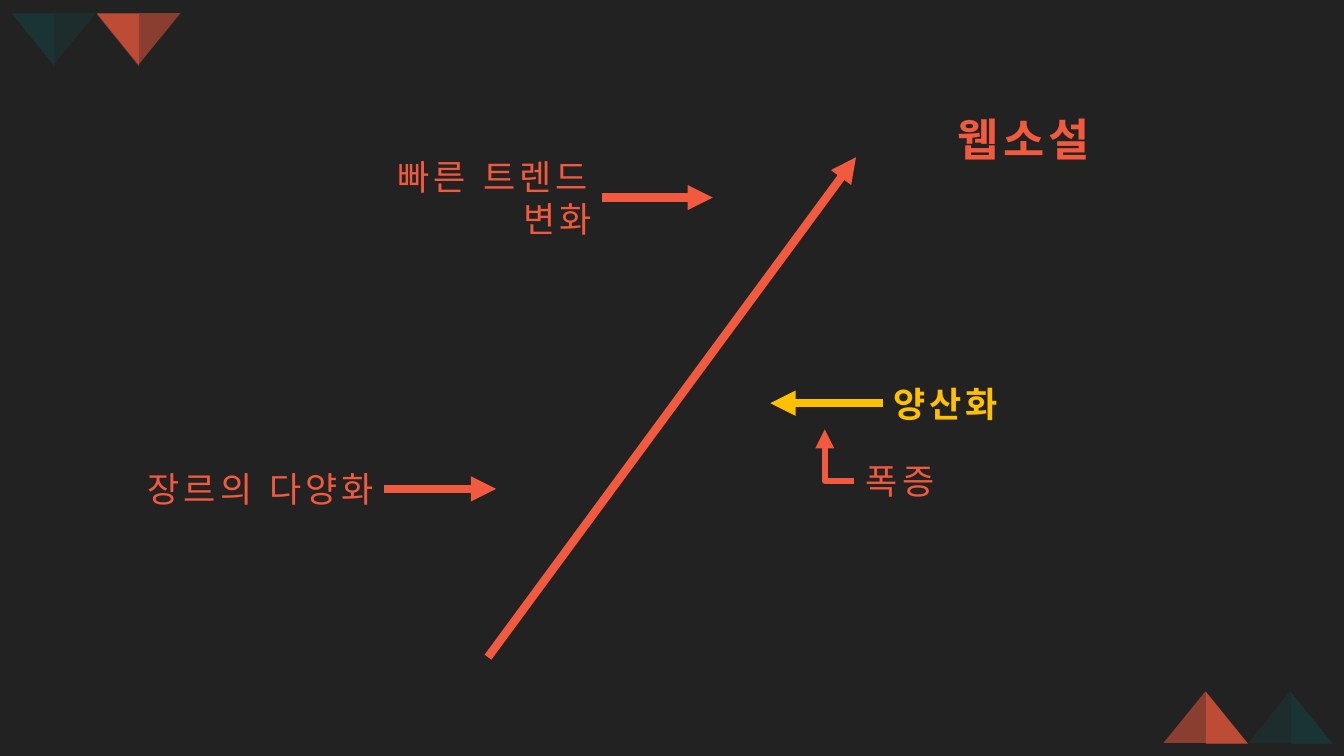
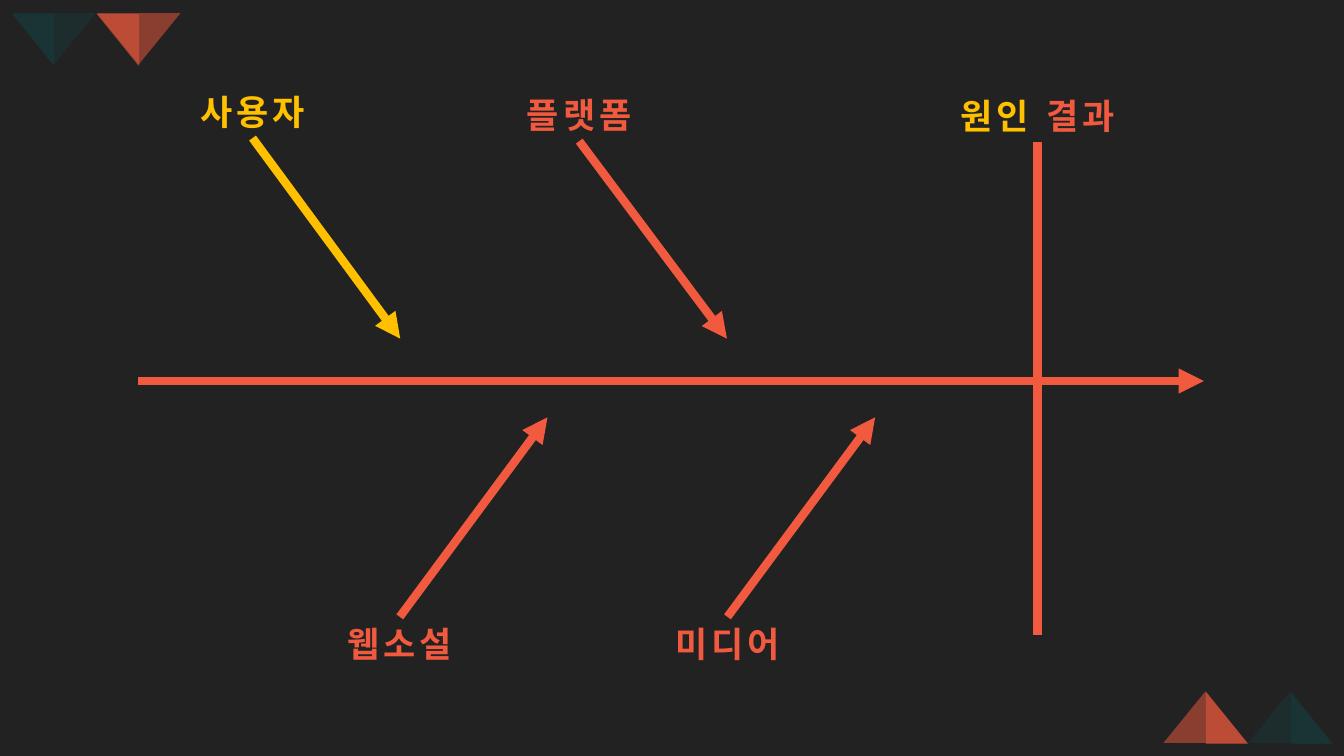
from lxml.etree import SubElement
from pptx import Presentation
from pptx.dml.color import RGBColor
from pptx.enum.shapes import MSO_CONNECTOR, MSO_SHAPE
from pptx.enum.text import MSO_ANCHOR, MSO_AUTO_SIZE, PP_ALIGN
from pptx.oxml.ns import qn
from pptx.util import Inches, Pt

COLORS = {"dark": "222222", "coral": "F15A3E", "teal": "193739", "gold": "FFC000"}
FONT = "Roboto"
LEFT, CENTER, RIGHT = PP_ALIGN.LEFT, PP_ALIGN.CENTER, PP_ALIGN.RIGHT
TOP_SIDE, LEFT_SIDE, BOTTOM_SIDE, RIGHT_SIDE = range(4)


def add_label(page, area, spans, align, size=25, bold=True):
    box = page.shapes.add_textbox(*map(Inches, area))
    frame_format = {
        "word_wrap": True,
        "auto_size": MSO_AUTO_SIZE.SHAPE_TO_FIT_TEXT,
        "vertical_anchor": MSO_ANCHOR.MIDDLE,
    }
    for name, value in frame_format.items():
        setattr(box.text_frame, name, value)
    para = box.text_frame.paragraphs[0]
    para.alignment = align
    for text, color in spans:
        span = para.add_run()
        span.text = text
        for name, value in {"name": FONT, "size": Pt(size), "bold": bold}.items():
            setattr(span.font, name, value)
        span.font.color.rgb = RGBColor.from_string(COLORS[color])
        properties = span._r.get_or_add_rPr()
        properties.set("spc", "300")
        SubElement(properties, qn("a:ea"), typeface=FONT)
    return box


def add_line(page, points, color="coral", width=6, arrow="tailEnd", kind=MSO_CONNECTOR.STRAIGHT):
    line = page.shapes.add_connector(kind, *map(Inches, points))
    line.line.width = Pt(width)
    line.line.color.rgb = RGBColor.from_string(COLORS[color])
    if arrow:
        SubElement(line.line._get_or_add_ln(), qn(f"a:{arrow}"), type="triangle")
    SubElement(line._element.spPr, qn("a:effectLst"))
    return line


deck = Presentation()
deck.slide_width, deck.slide_height = Inches(13.33), Inches(7.5)
background = deck.slide_master.background.fill
background.solid()
background.fore_color.rgb = RGBColor.from_string(COLORS["dark"])
growth_page, causes_page = [deck.slides.add_slide(deck.slide_layouts[6]) for _ in range(2)]

# Corner triangles on both slides: left, top, top of the half, colour, opacity of the half, rotation
corners = [
    (0.96, 0.13, 0.14, "coral", 50, 180),
    (0.12, 0.13, 0.14, "teal", 70, 180),
    (11.54, 6.86, 6.86, "coral", 50, 0),
    (12.38, 6.86, 6.86, "teal", 70, 0),
]
for page in deck.slides:
    for left, top, half_top, color, half_opacity, rotation in corners:
        half_left = left if rotation else left + 0.42
        for preset, area, opacity in (
            (MSO_SHAPE.ISOSCELES_TRIANGLE, (left, top, 0.83, 0.51), 50),
            (MSO_SHAPE.RIGHT_TRIANGLE, (half_left, half_top, 0.42, 0.52), half_opacity),
        ):
            triangle = page.shapes.add_shape(preset, *map(Inches, area))
            triangle.rotation = rotation
            triangle.shadow.inherit = False
            triangle.line.fill.background()
            triangle.fill.solid()
            triangle.fill.fore_color.rgb = RGBColor.from_string(COLORS[color])
            fill_color = triangle._element.spPr.find(f".//{qn('a:srgbClr')}")
            SubElement(fill_color, qn("a:alpha"), val=str(opacity * 1000))

# Slide 1: rising arrow and its title
add_line(growth_page, (4.84, 6.52, 8.49, 1.56))
add_label(growth_page, (9.3, 1.06, 1.71, 0.64), [("웹소설", "coral")], CENTER, size=32)

# Slide 1: factors with arrows pointing at the rise
factors = [
    ("양산화", (8.76, 3.74, 2.8, 0.52), "gold", LEFT, True, LEFT_SIDE, (8.76, 4, 7.64, 4)),
    ("빠른 트렌드 변화", (3.1, 1.7, 2.87, 0.52), "coral", RIGHT, False, RIGHT_SIDE, (5.97, 1.96, 7.07, 1.96)),
    ("장르의 다양화", (0.94, 4.59, 2.87, 0.52), "coral", RIGHT, False, RIGHT_SIDE, (3.81, 4.85, 4.92, 4.85)),
]
for text, area, color, align, bold, side, points in factors:
    box = add_label(growth_page, area, [(text, color)], align, bold=bold)
    add_line(growth_page, points, color).begin_connect(box, side)

# Slide 1: surge note with a one-bend arrow
add_label(growth_page, (8.49, 4.51, 1.31, 0.52), [("폭증", "coral")], LEFT, bold=False)
bend = add_line(growth_page, (8.18, 4.26, 8.47, 4.77), width=4.5, kind=MSO_CONNECTOR.ELBOW)
bend._element.spPr.find(qn("a:prstGeom")).set("prst", "bentConnector2")
bend._element.spPr.find(qn("a:xfrm")).set("rot", "10800000")

# Slide 2: spine of the fishbone
add_line(causes_page, (1.37, 3.78, 11.94, 3.78))

# Slide 2: divider between cause and result
heading = add_label(causes_page, (9.31, 0.89, 1.96, 0.52), [("원인", "gold"), (" 결과", "coral")], CENTER)
add_line(causes_page, (10.29, 1.41, 10.29, 6.3), arrow=None).begin_connect(heading, BOTTOM_SIDE)

# Slide 2: bones, each from its label towards the spine
bones = [
    ("사용자", 1.65, 0.85, "gold", BOTTOM_SIDE, (2.51, 1.38, 3.97, 3.36)),
    ("플랫폼", 4.89, 0.88, "coral", BOTTOM_SIDE, (5.75, 1.38, 7.21, 3.36)),
    ("웹소설", 3.11, 6.12, "coral", TOP_SIDE, (3.97, 6.12, 5.43, 4.14)),
    ("미디어", 6.36, 6.12, "coral", TOP_SIDE, (7.21, 6.12, 8.68, 4.14)),
]
for text, left, top, color, side, points in bones:
    box = add_label(causes_page, (left, top, 1.71, 0.52), [(text, color)], CENTER)
    add_line(causes_page, points, color).begin_connect(box, side)

deck.save("out.pptx")
